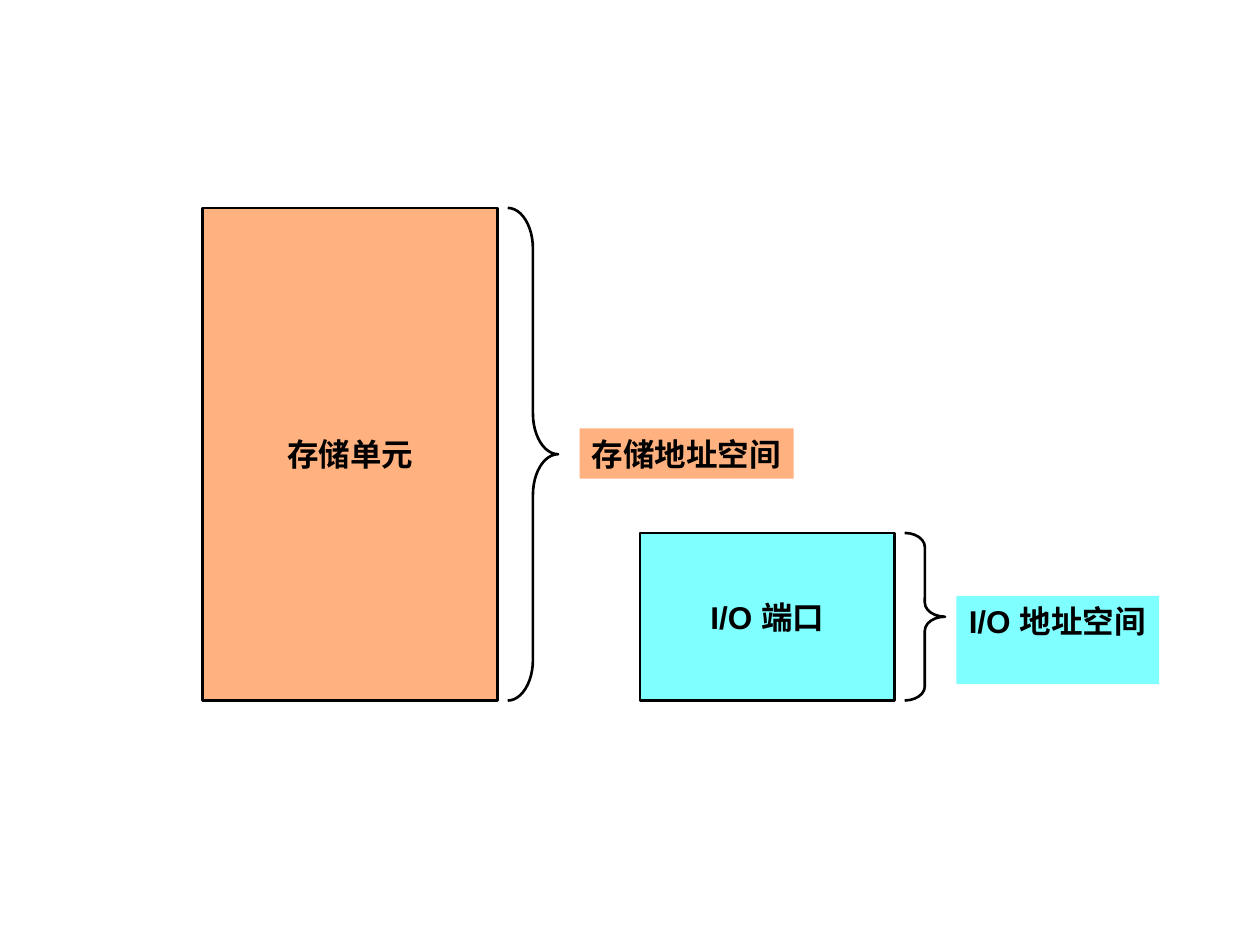
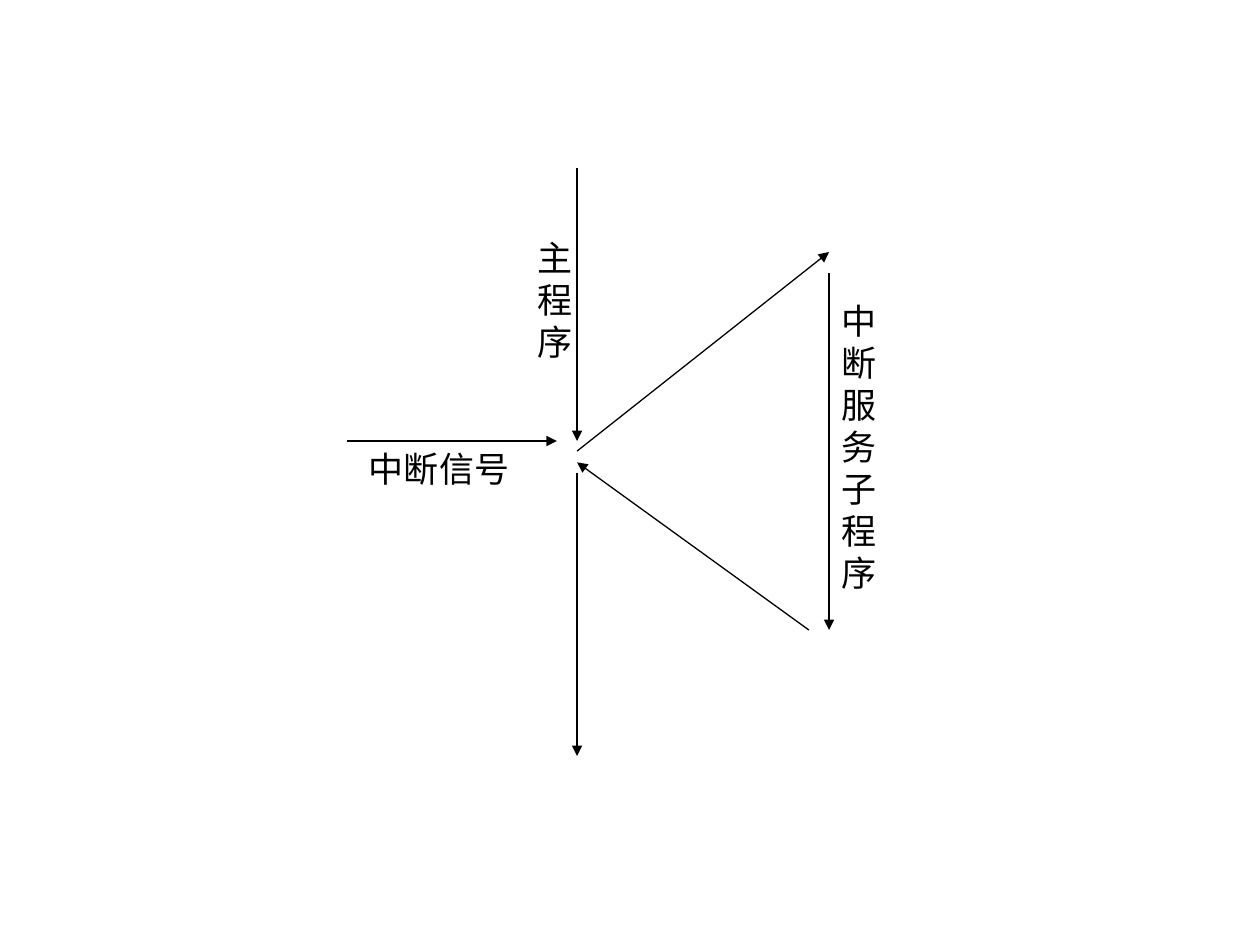
from pptx import Presentation
from pptx import util as u
from pptx.dml.color import RGBColor
from pptx.enum import shapes, text
from pptx.oxml.ns import qn
from lxml import etree

BLACK = RGBColor(0x00, 0x00, 0x00)
ORANGE = RGBColor(0xFF, 0x66, 0x00)
CYAN = RGBColor(0x00, 0xFF, 0xFF)
SANS = "Arial"
SERIF = "Times New Roman"
THIN, THICK = 0.75, 1.5


def place(left, top, width, height):
    return [u.Inches(n) for n in (left, top, width, height)]


def stroke(line, width):
    line.color.rgb = BLACK
    line.width = u.Pt(width)


def write(shape, words, font, size, bold=False, center=False, right=0.1):
    frame = shape.text_frame
    frame.word_wrap = not center
    frame.margin_left, frame.margin_right = u.Inches(0.1), u.Inches(right)
    frame.margin_top = frame.margin_bottom = u.Inches(0.05)
    anchor = text.MSO_ANCHOR
    frame.vertical_anchor = anchor.MIDDLE if center else anchor.TOP
    para = frame.paragraphs[0]
    para.alignment = text.PP_ALIGN.CENTER if center else text.PP_ALIGN.LEFT
    run = para.add_run()
    run.text = words
    run.font.name = font
    run.font.size = u.Pt(size)
    run.font.bold = bold
    run.font.color.rgb = BLACK


def tint(slide, box, color):
    shape = slide.shapes.add_shape(shapes.MSO_SHAPE.RECTANGLE, *place(*box))
    shape.shadow.inherit = False
    shape.fill.solid()
    shape.fill.fore_color.rgb = color
    shade = shape.fill._xPr.find(qn("a:solidFill"))[0]
    etree.SubElement(shade, qn("a:alpha")).set("val", "50000")
    return shape


def block(slide, box, color, words):
    shape = tint(slide, box, color)
    stroke(shape.line, THICK)
    write(shape, words, SANS, 18, bold=True, center=True)


def label(slide, box, color, words):
    shape = tint(slide, box, color)
    shape.line.fill.background()
    write(shape, words, SANS, 18, bold=True, right=0.08)


def brace(slide, box, curve):
    shape = slide.shapes.add_shape(shapes.MSO_SHAPE.RIGHT_BRACE, *place(*box))
    shape.shadow.inherit = False
    shape.adjustments[0] = curve
    shape.fill.background()
    stroke(shape.line, THICK)


def arrow(slide, start, end, width=THIN):
    line = slide.shapes.add_connector(
        shapes.MSO_CONNECTOR.STRAIGHT, *place(*start, *end))
    stroke(line.line, width)
    props = line._element.spPr
    etree.SubElement(props.find(qn("a:ln")), qn("a:tailEnd")).set("type", "triangle")
    etree.SubElement(props, qn("a:effectLst"))


def note(slide, box, words):
    write(slide.shapes.add_textbox(*place(*box)), words, SERIF, 20)


def spaces(slide):
    block(slide, (1.61, 1.65, 2.34, 3.91), ORANGE, "存储单元")
    brace(slide, (4.03, 1.65, 0.4, 3.91), 0.81)
    label(slide, (4.6, 3.4, 1.7, 0.4), ORANGE, "存储地址空间")
    block(slide, (5.08, 4.23, 2.02, 1.33), CYAN, "I/O 端口")
    brace(slide, (7.18, 4.23, 0.32, 1.33), 0.35)
    label(slide, (7.59, 4.73, 1.61, 0.7), CYAN, "I/O 地址空间")


def breaks(slide):
    main_x, sub_x = 4.58, 6.58
    arrow(slide, (main_x, 1.33), (main_x, 3.5), THICK)
    arrow(slide, (main_x, 3.58), (sub_x, 2))
    arrow(slide, (sub_x, 2.17), (sub_x, 5))
    arrow(slide, (6.42, 5), (main_x, 3.67))
    arrow(slide, (main_x, 3.75), (main_x, 6))
    arrow(slide, (2.75, 3.5), (4.42, 3.5))
    note(slide, (4.17, 1.83, 0.67, 1.1), "主程序")
    note(slide, (sub_x, 2.33, 0.42, 2.44), "中断服务子程序")
    note(slide, (2.83, 3.5, 1.33, 0.44), "中断信号")


def main():
    deck = Presentation()
    deck.slide_width, deck.slide_height = u.Inches(10), u.Inches(7.5)
    for draw in (spaces, breaks):
        draw(deck.slides.add_slide(deck.slide_layouts[6]))
    deck.save("out.pptx")


if __name__ == "__main__":
    main()
